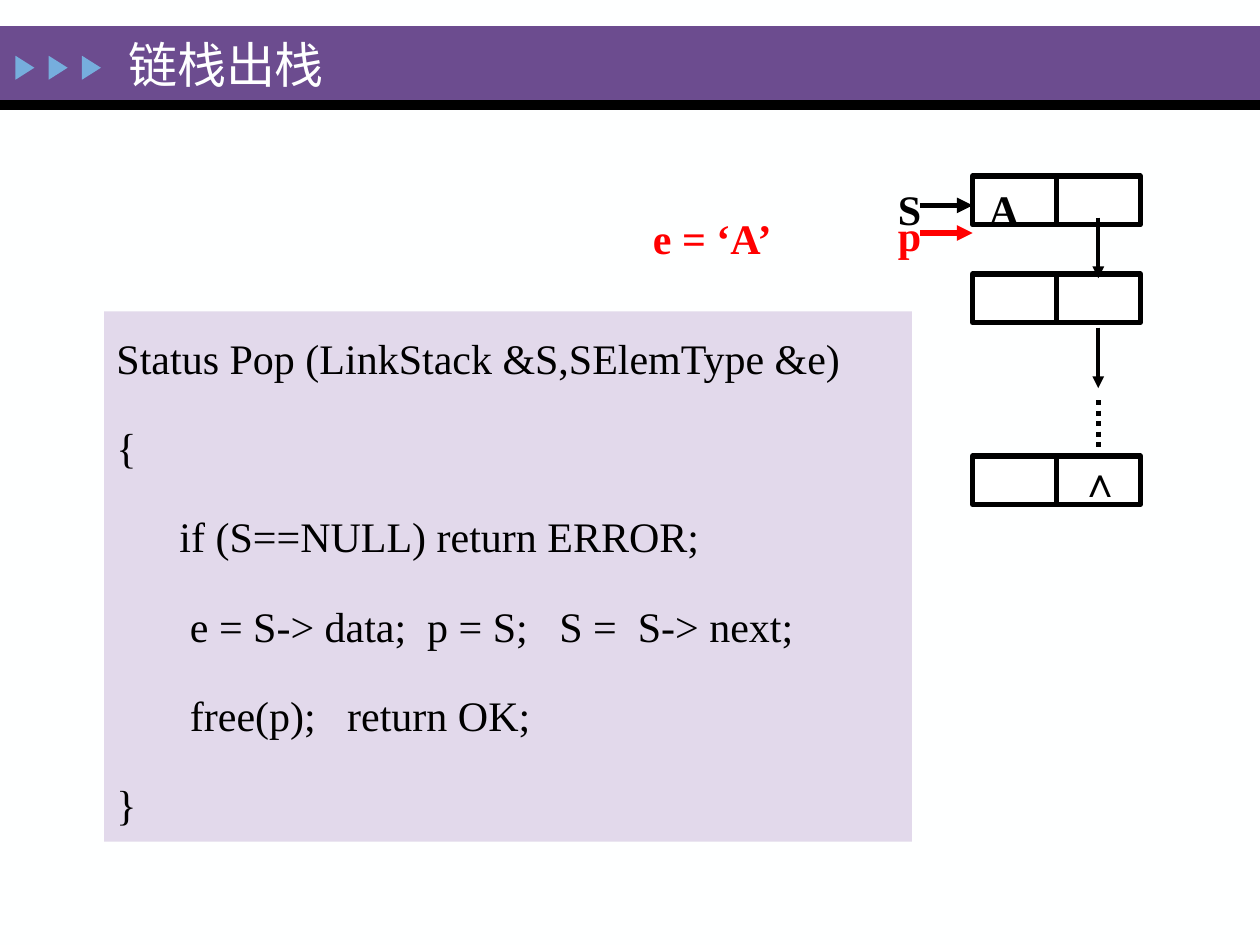
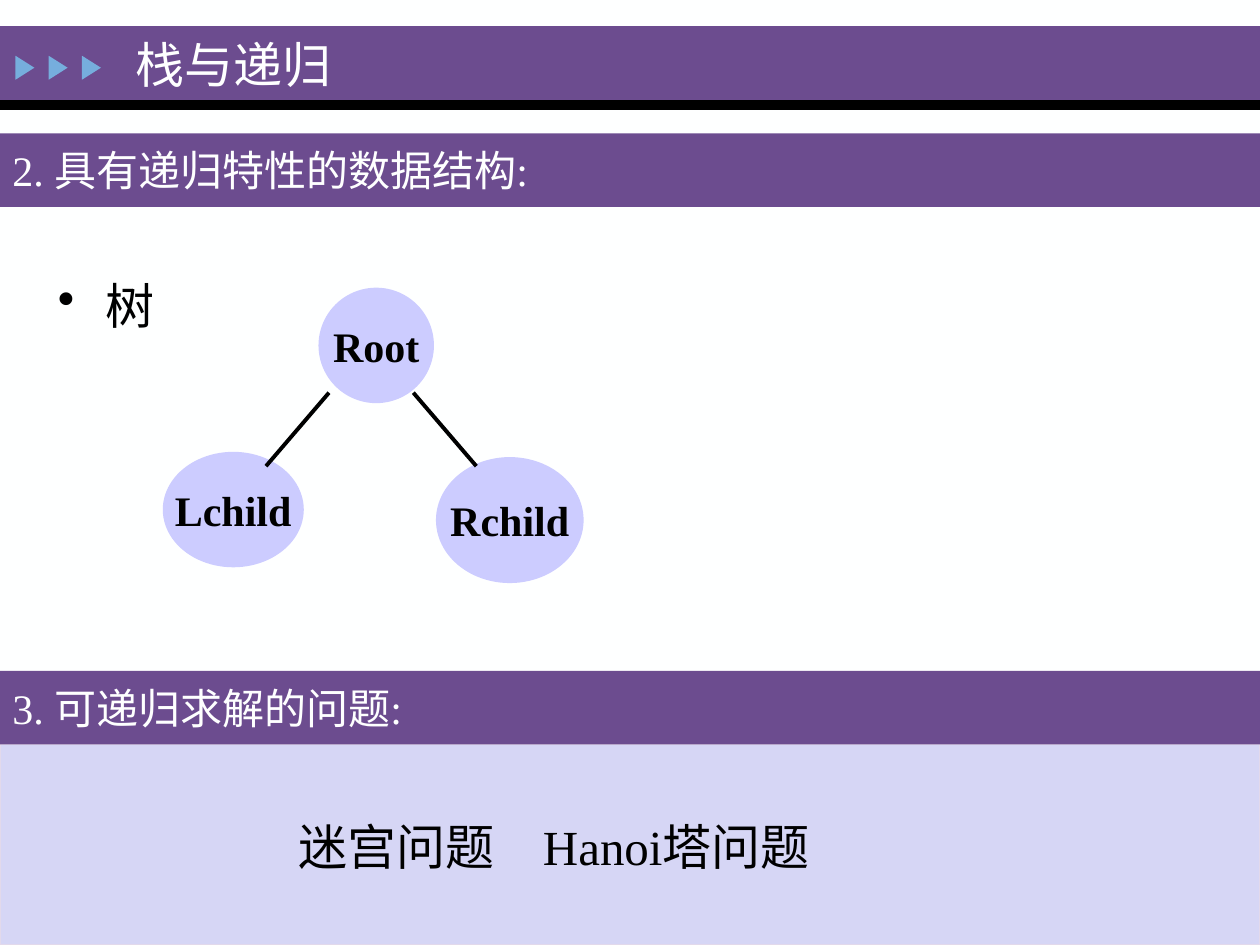
"""Two slides on linked stacks: the pop operation, and stacks with recursion."""
from lxml.etree import SubElement
from pptx import Presentation
from pptx.dml.color import RGBColor
from pptx.enum.dml import MSO_LINE
from pptx.enum.shapes import MSO_CONNECTOR, MSO_SHAPE
from pptx.enum.text import MSO_ANCHOR, PP_ALIGN
from pptx.oxml.ns import qn
from pptx.util import Pt

PURPLE = RGBColor(0x6C, 0x4C, 0x8F)
BLACK = RGBColor(0x00, 0x00, 0x00)
PAPER = RGBColor(0xFE, 0xFF, 0xFF)
WHITE = RGBColor(0xFF, 0xFF, 0xFF)
SKY = RGBColor(0x76, 0xAE, 0xDD)
RED = RGBColor(0xFF, 0x00, 0x00)
LILAC = RGBColor(0xE2, 0xD9, 0xEB)
LAVENDER = RGBColor(0xCC, 0xCC, 0xFF)
PALE_BLUE = RGBColor(0xD6, 0xD6, 0xF5)
FONT = "Times New Roman"
SLIDE_WIDTH = 720


def put(slide, box, text="", kind=None, fill=None, outline=None, weight=3,
        size=24, color=BLACK, bold=False, align=PP_ALIGN.LEFT,
        anchor=MSO_ANCHOR.TOP, wrap=True, leading=None, gap=0, indents=(), bullet=None):
    """Add a text box, or a preset shape when kind is given, and write its text."""
    place = [Pt(length) for length in box]
    if kind is None:
        item = slide.shapes.add_textbox(*place)
    else:
        item = slide.shapes.add_shape(kind, *place)
        item.shadow.inherit = False
        item.fill.solid()
        item.fill.fore_color.rgb = fill
        if outline is None:
            item.line.fill.background()
        else:
            item.line.color.rgb = outline
            item.line.width = Pt(weight)
    if not text:
        return item
    frame = item.text_frame
    frame.word_wrap = wrap
    frame.vertical_anchor = anchor
    for row, line in enumerate(text.split("\n")):
        paragraph = frame.paragraphs[0] if row == 0 else frame.add_paragraph()
        paragraph.alignment = align
        paragraph.line_spacing = leading
        paragraph.space_before = Pt(gap if row else 0)
        properties = paragraph._p.get_or_add_pPr()
        if row in indents:
            properties.set("marL", str(Pt(36)))
        if bullet:
            properties.set("marL", str(Pt(27)))
            properties.set("indent", str(Pt(-27)))
            SubElement(properties, qn("a:buChar")).set("char", bullet)
        run = paragraph.add_run()
        run.text = line
        run.font.name = FONT
        run.font.size = Pt(size)
        run.font.bold = bold
        run.font.color.rgb = color
    return item


def link(slide, start, end, weight=3, color=BLACK, arrow=False):
    """Draw a straight line, with an arrowhead at its end if asked."""
    line = slide.shapes.add_connector(
        MSO_CONNECTOR.STRAIGHT, *[Pt(length) for length in (*start, *end)])
    line.line.color.rgb = color
    line.line.width = Pt(weight)
    if arrow:
        SubElement(line.line._get_or_add_ln(), qn("a:tailEnd")).set("type", "triangle")
    SubElement(line._element.spPr, qn("a:effectLst"))
    return line


deck = Presentation()
deck.slide_width, deck.slide_height = Pt(SLIDE_WIDTH), Pt(540)
slides = []
for title, title_box in (("链栈出栈", (66.2, 18.7, 504, 36)),
                         ("栈与递归", (70.6, 9.4, 484.6, 54))):
    slide = deck.slides.add_slide(deck.slide_layouts[6])
    slide.background.fill.solid()
    slide.background.fill.fore_color.rgb = PAPER
    put(slide, (0, 15, SLIDE_WIDTH, 42.5), kind=MSO_SHAPE.RECTANGLE, fill=PURPLE)
    put(slide, (0, 57.3, SLIDE_WIDTH, 5.6), kind=MSO_SHAPE.RECTANGLE, fill=BLACK)
    for step in range(3):
        marker = put(slide, (7.4 + 19 * step, 33.3, 13.7, 10.8),
                     kind=MSO_SHAPE.ISOSCELES_TRIANGLE, fill=SKY)
        marker.rotation = 90
    put(slide, title_box, title, size=28, color=PAPER, anchor=MSO_ANCHOR.MIDDLE)
    slides.append(slide)
pop_slide, recursion_slide = slides

NODE_LEFT, NODE_WIDTH, NODE_HEIGHT = 555.8, 95.8, 27.8
for node_top in (100.6, 156.5, 260.5):
    node = put(pop_slide, (NODE_LEFT, node_top, NODE_WIDTH, NODE_HEIGHT),
               kind=MSO_SHAPE.RECTANGLE, fill=WHITE, outline=BLACK)
    middle = NODE_LEFT + NODE_WIDTH / 2
    divider = link(pop_slide, (middle, node_top), (middle, node_top + NODE_HEIGHT))
    divider.begin_connect(node, 0)
    divider.end_connect(node, 2)

NEXT_X = 627.6
for next_top in (124.4, 187.2):
    link(pop_slide, (NEXT_X, next_top), (NEXT_X, next_top + 34.6), weight=2.25, arrow=True)
omitted_nodes = link(pop_slide, (NEXT_X, 228.6), (NEXT_X, 256))
omitted_nodes.line.dash_style = MSO_LINE.ROUND_DOT

for pointer_y, color in ((117.4, BLACK), (133.2, RED)):
    link(pop_slide, (525.6, pointer_y), (NODE_LEFT, pointer_y), color=color, arrow=True)
for label, left, top, width, color in (
        ("∧", 610, 257, 36, BLACK), ("S", 501.8, 101.5, 36, BLACK),
        ("A", 555.8, 101.5, 36, BLACK), ("p", 501.8, 116, 36, RED),
        ("e = ‘A’", 344, 118, 126, RED)):
    put(pop_slide, (left, top, width, 36), label, color=color, bold=True,
        align=PP_ALIGN.CENTER)

POP_CODE = """Status Pop (LinkStack &S,SElemType &e)
{
if (S==NULL) return ERROR;
 e = S-> data;  p = S;   S =  S-> next;
 free(p);   return OK;
}"""
put(pop_slide, (59.5, 178, 461.6, 303), POP_CODE, kind=MSO_SHAPE.RECTANGLE,
    fill=LILAC, leading=1.3, gap=13.5, indents=(2, 3, 4))

put(recursion_slide, (0, 425.3, SLIDE_WIDTH, 114.7), kind=MSO_SHAPE.RECTANGLE,
    fill=PALE_BLUE, outline=LILAC, weight=0.75)
for heading, top in (("2. 具有递归特性的数据结构:", 76.2), ("3. 可递归求解的问题:", 383.4)):
    put(recursion_slide, (0, top, SLIDE_WIDTH, 42), heading, kind=MSO_SHAPE.RECTANGLE,
        fill=PURPLE, color=PAPER, anchor=MSO_ANCHOR.MIDDLE)
put(recursion_slide, (26, 154, 90.7, 44), "树", size=28, bullet="•")
put(recursion_slide, (163.4, 463, 327.6, 50), "迷宫问题\u3000Hanoi塔问题".replace("\u3000", "　"),
    size=28)

for name, box in (("Root", (182, 164.4, 66, 66)), ("Lchild", (93, 258.2, 80.6, 66)),
                  ("Rchild", (249.1, 261.2, 84.4, 72))):
    put(recursion_slide, box, name, kind=MSO_SHAPE.OVAL, fill=LAVENDER, bold=True,
        align=PP_ALIGN.CENTER, anchor=MSO_ANCHOR.MIDDLE, wrap=False)
for start_x, end_x in ((188, 152), (236.2, 272.2)):
    link(recursion_slide, (start_x, 224.4), (end_x, 266.4), weight=2.25)

deck.save("out.pptx")
